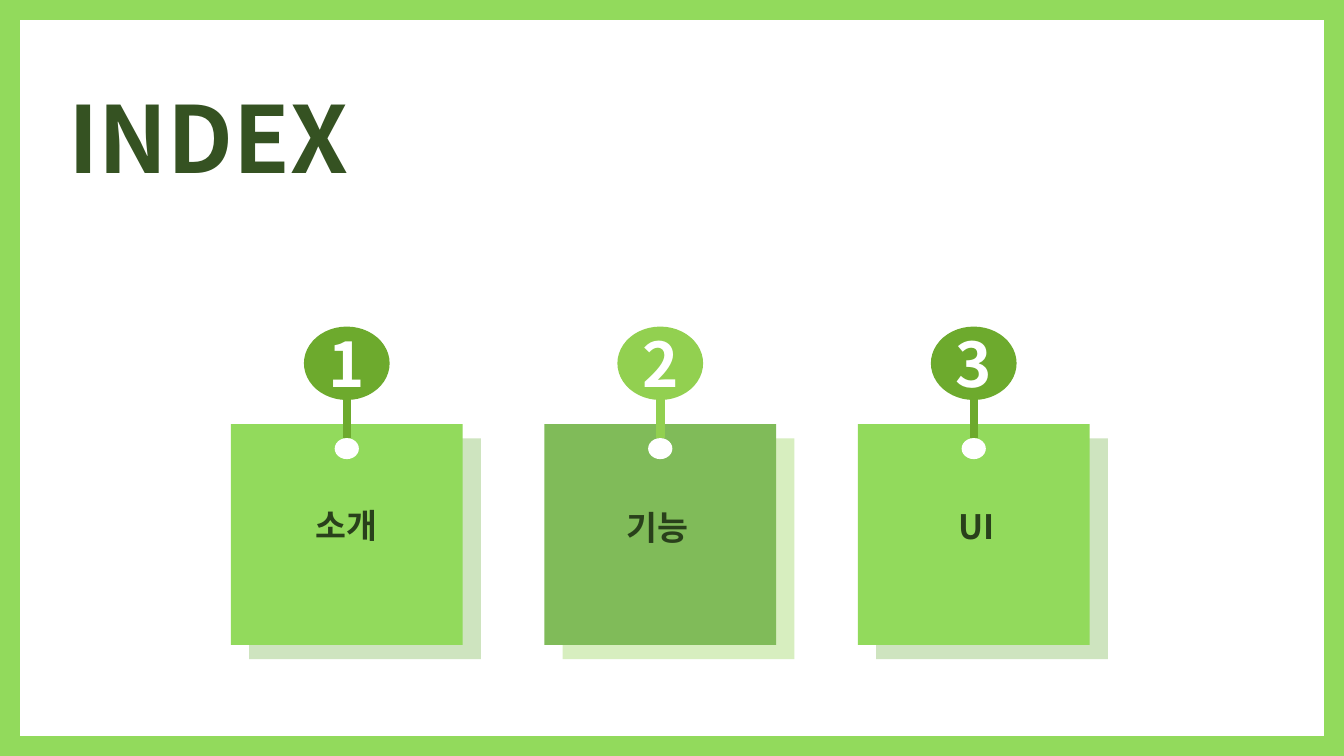
from lxml import etree
from pptx import Presentation
from pptx.dml.color import RGBColor
from pptx.enum import shapes, text
from pptx.oxml.ns import qn
from pptx.util import Cm, Pt

FONT = "Noto Sans CJK KR"
WHITE = RGBColor(0xFF, 0xFF, 0xFF)
LIME = RGBColor(0x92, 0xDA, 0x5C)
LEAF = RGBColor(0x92, 0xD0, 0x50)
MOSS = RGBColor(0x6D, 0xAA, 0x2D)
SAGE = RGBColor(0x80, 0xBB, 0x59)
PALE_SAGE = RGBColor(0xCE, 0xE4, 0xBF)
PALE_LIME = RGBColor(0xD7, 0xEE, 0xBF)
FOREST = RGBColor(0x35, 0x52, 0x22)
DARK_FOREST = RGBColor(0x29, 0x40, 0x1B)

SLIDE_W, SLIDE_H, BORDER = 33.87, 19.05, 0.5
CARD_W, CARD_H, CARD_TOP = 5.84, 5.56, 10.69
FIRST_CENTER, CARD_PITCH = 8.74, 7.9
SHADE_DX, SHADE_DY = 0.46, 0.36
BADGE_W, BADGE_H, BADGE_TOP = 2.16, 1.85, 8.23
HOLE_W, HOLE_H, HOLE_TOP = 0.61, 0.53, 11.04
STEM_TOP = 9.68
LABEL_W, LABEL_H = 5.92, 1.28

RECT = shapes.MSO_SHAPE.RECTANGLE
OVAL = shapes.MSO_SHAPE.OVAL


def add_block(slide, kind, left, top, width, height, color):
    block = slide.shapes.add_shape(kind, Cm(left), Cm(top), Cm(width), Cm(height))
    block.shadow.inherit = False
    block.fill.solid()
    block.fill.fore_color.rgb = color
    block.line.fill.background()
    return block


def write(frame, words, size, color, align):
    paragraph = frame.paragraphs[0]
    paragraph.alignment = align
    run = paragraph.add_run()
    run.text = words
    run.font.size = Pt(size)
    run.font.bold = True
    run.font.color.rgb = color
    run.font.name = FONT
    etree.SubElement(run.font._element, qn("a:ea"), typeface=FONT)


def add_words(slide, left, top, width, height, words, size, color, align):
    frame = slide.shapes.add_textbox(Cm(left), Cm(top), Cm(width), Cm(height)).text_frame
    frame.word_wrap = True
    frame.auto_size = text.MSO_AUTO_SIZE.SHAPE_TO_FIT_TEXT
    write(frame, words, size, color, align)


def add_stem(slide, x, color):
    stem = slide.shapes.add_connector(
        shapes.MSO_CONNECTOR.STRAIGHT, Cm(x), Cm(STEM_TOP), Cm(x), Cm(HOLE_TOP))
    stem.line.color.rgb = color
    stem.line.width = Pt(6)
    etree.SubElement(stem._element.spPr, qn("a:effectLst"))


def add_hole(slide, center):
    add_block(slide, OVAL, center - HOLE_W / 2, HOLE_TOP, HOLE_W, HOLE_H, WHITE)


def add_border(slide):
    for left in (0, SLIDE_W - BORDER):
        add_block(slide, RECT, left, 0, BORDER, SLIDE_H, LIME)
    for top in (0, SLIDE_H - BORDER):
        add_block(slide, RECT, 0, top, SLIDE_W, BORDER, LIME)


def add_card(slide, center, number, label, label_top, label_shift, card, shade, pin):
    left = center - CARD_W / 2
    add_block(slide, RECT, left + SHADE_DX, CARD_TOP + SHADE_DY, CARD_W, CARD_H, shade)
    add_block(slide, RECT, left, CARD_TOP, CARD_W, CARD_H, card)
    add_hole(slide, center)
    add_stem(slide, center, pin)
    badge = add_block(slide, OVAL, center - BADGE_W / 2, BADGE_TOP, BADGE_W, BADGE_H, pin)
    badge.text_frame.vertical_anchor = text.MSO_ANCHOR.MIDDLE
    write(badge.text_frame, str(number), 44, WHITE, text.PP_ALIGN.CENTER)
    add_words(slide, center + label_shift - LABEL_W / 2, label_top, LABEL_W, LABEL_H,
              label, 24, DARK_FOREST, text.PP_ALIGN.CENTER)


def main():
    deck = Presentation()
    deck.slide_width, deck.slide_height = Cm(SLIDE_W), Cm(SLIDE_H)
    slide = deck.slides.add_slide(deck.slide_layouts[6])
    add_border(slide)
    add_words(slide, 1.47, 1.93, 9.75, 3.07, "INDEX", 66, FOREST, text.PP_ALIGN.LEFT)
    sections = [
        ("소개", 12.6, 0, LIME, PALE_SAGE, MOSS),
        ("기능", 12.65, -0.07, SAGE, PALE_LIME, LEAF),
        ("UI", 12.62, 0.08, LIME, PALE_SAGE, MOSS),
    ]
    for index, section in enumerate(sections):
        add_card(slide, FIRST_CENTER + index * CARD_PITCH, index + 1, *section)
    deck.save("out.pptx")


if __name__ == "__main__":
    main()
